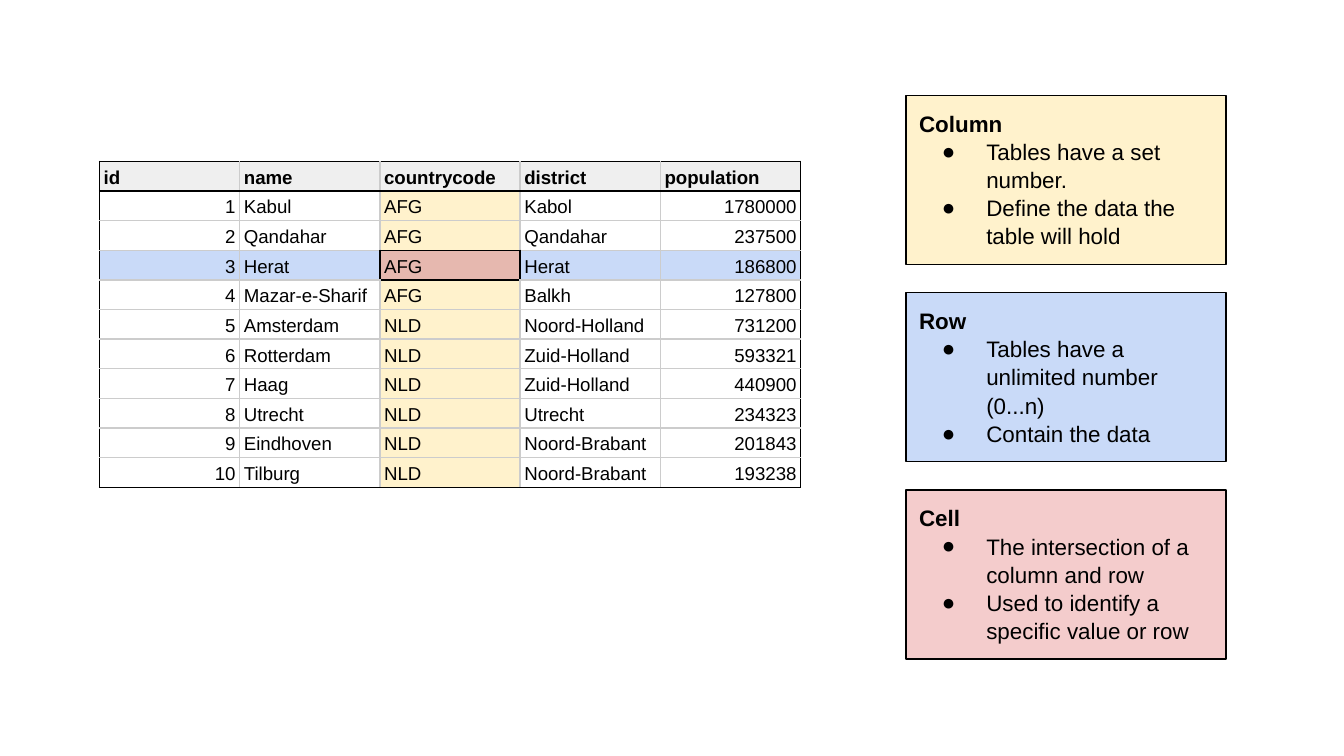
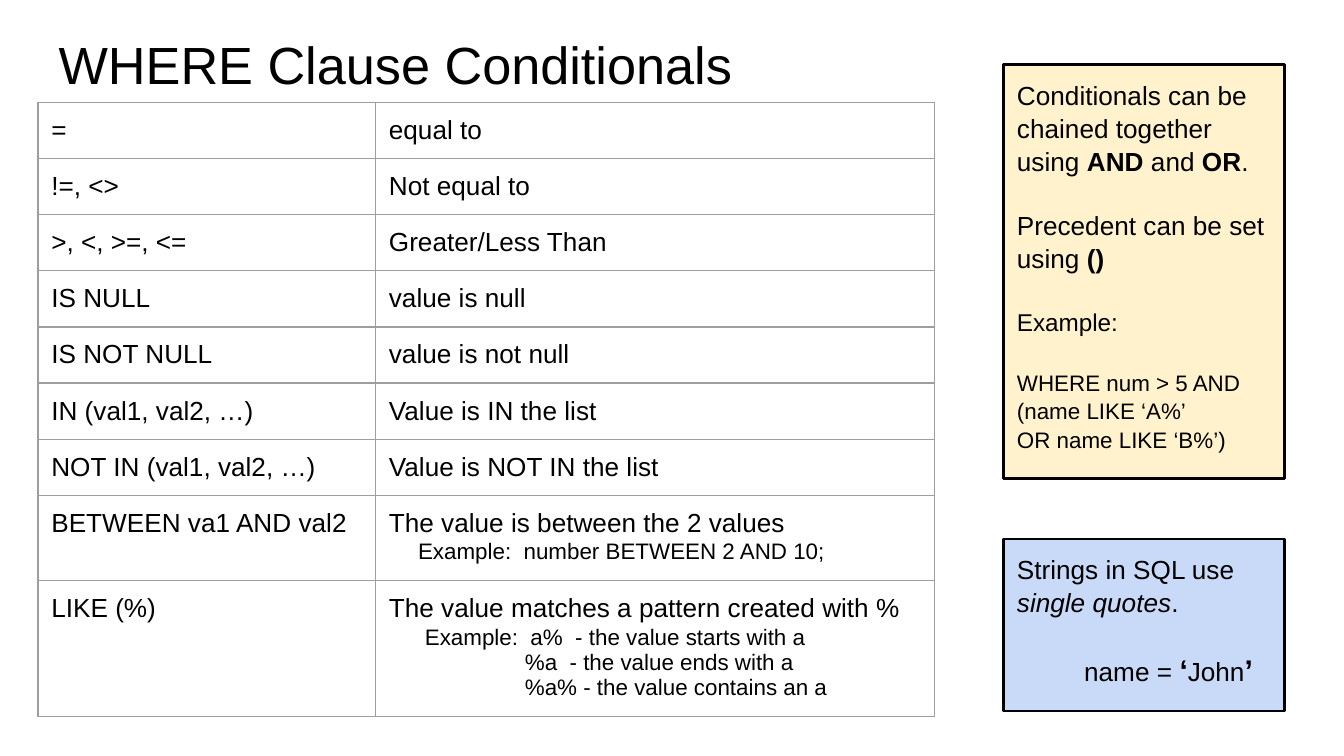
import dataclasses
import pptx
import pptx.dml.color
import pptx.enum.shapes
import pptx.enum.text
import pptx.oxml.ns
import lxml.etree

Cm = pptx.util.Cm
Pt = pptx.util.Pt
Align = pptx.enum.text.PP_ALIGN
Anchor = pptx.enum.text.MSO_ANCHOR
shade = pptx.dml.color.RGBColor.from_string
qn = pptx.oxml.ns.qn


@dataclasses.dataclass(frozen=True)
class Theme:
    face: str = "Arial"
    ink: str = "000000"
    paper: str = "FFFFFF"
    head: str = "EFEFEF"
    cream: str = "FFF2CC"
    blue: str = "C9DAF8"
    pink: str = "F4CCCC"
    rose: str = "E6B8AF"
    pale: str = "CCCCCC"
    grey: str = "9E9E9E"
    title: int = 28
    quote: int = 16
    text: int = 14
    label: int = 13
    small: int = 12
    data: int = 10


theme = Theme()


def write(frame, paras, size, anchor=Anchor.TOP, pad=(0.25, 0.25), lead=1.05):
    # Each paragraph is (runs, layout); each run is (text, font values).
    frame.word_wrap = True
    sides = {"margin_left": pad[0], "margin_right": pad[0],
             "margin_top": pad[1], "margin_bottom": pad[1]}
    for name, value in sides.items():
        setattr(frame, name, Cm(value))
    frame.vertical_anchor = anchor
    for i, (runs, form) in enumerate(paras):
        para = frame.paragraphs[0] if i == 0 else frame.add_paragraph()
        look = {"alignment": form.get("align", Align.LEFT), "line_spacing": lead,
                "space_before": Pt(form.get("gap", 0)), "space_after": Pt(0)}
        for name, value in look.items():
            setattr(para, name, value)
        props = para._p.get_or_add_pPr()
        props.set("marL", str(Cm(form.get("left", 0))))
        props.set("indent", str(Cm(form.get("hang", 0))))
        if "dot" in form:
            lxml.etree.SubElement(props, qn("a:buFont")).set("typeface", theme.face)
            lxml.etree.SubElement(props, qn("a:buChar")).set("char", form["dot"])
        else:
            lxml.etree.SubElement(props, qn("a:buNone"))
        for text, font in runs:
            run = para.add_run()
            run.text = text
            base = {"name": theme.face, "size": size, "bold": False, "italic": False}
            for name, value in (base | font).items():
                setattr(run.font, name, Pt(value) if name == "size" else value)
            run.font.color.rgb = shade(theme.ink)


def dress(cell, fill, edges, width):
    props = cell._tc.get_or_add_tcPr()
    for side, hue in edges.items():
        line = lxml.etree.SubElement(props, qn("a:ln" + side))
        line.set("w", str(Pt(width)))
        solid = lxml.etree.SubElement(line, qn("a:solidFill"))
        lxml.etree.SubElement(solid, qn("a:srgbClr")).set("val", hue)
    cell.fill.solid()
    cell.fill.fore_color.rgb = shade(fill)


deck = pptx.Presentation()
deck.slide_width, deck.slide_height = Cm(25.4), Cm(14.29)
bold = {"bold": True}
plain = {"first_row": False, "horz_banding": False}

slide = deck.slides.add_slide(deck.slide_layouts[4])
towns = [
    ("id", "name", "countrycode", "district", "population"),
    ("1", "Kabul", "AFG", "Kabol", "1780000"),
    ("2", "Qandahar", "AFG", "Qandahar", "237500"),
    ("3", "Herat", "AFG", "Herat", "186800"),
    ("4", "Mazar-e-Sharif", "AFG", "Balkh", "127800"),
    ("5", "Amsterdam", "NLD", "Noord-Holland", "731200"),
    ("6", "Rotterdam", "NLD", "Zuid-Holland", "593321"),
    ("7", "Haag", "NLD", "Zuid-Holland", "440900"),
    ("8", "Utrecht", "NLD", "Utrecht", "234323"),
    ("9", "Eindhoven", "NLD", "Noord-Brabant", "201843"),
    ("10", "Tilburg", "NLD", "Noord-Brabant", "193238"),
]
rows, cols = len(towns), len(towns[0])
pick_r, pick_c = 3, 2
grid = slide.shapes.add_table(rows, cols, Cm(1.88), Cm(3.05),
                              Cm(2.65 * cols), Cm(0.56 * rows)).table
for name, value in plain.items():
    setattr(grid, name, value)
for r, town in enumerate(towns):
    grid.rows[r].height = Cm(0.56)
    for c, text in enumerate(town):
        dark = {
            "L": c == 0 or (r == pick_r and c in (pick_c, pick_c + 1)),
            "R": c == cols - 1 or (r == pick_r and c in (pick_c - 1, pick_c)),
            "T": r in (0, 1) or (c == pick_c and r in (pick_r, pick_r + 1)),
            "B": r in (0, rows - 1) or (c == pick_c and r in (pick_r - 1, pick_r)),
        }
        if r == 0:
            fill = theme.head
        elif r == pick_r:
            fill = theme.rose if c == pick_c else theme.blue
        else:
            fill = theme.cream if c == pick_c else theme.paper
        cell = grid.cell(r, c)
        edges = {side: theme.ink if on else theme.pale for side, on in dark.items()}
        dress(cell, fill, edges, 0.83)
        align = Align.RIGHT if r and c in (0, cols - 1) else Align.LEFT
        write(cell.text_frame, [([(text, {"bold": r == 0})], {"align": align})],
              theme.data, pad=(0.08, 0.05), lead=1.15)
        for name, value in {"vertical_anchor": Anchor.BOTTOM, "margin_left": Cm(0.08),
                            "margin_right": Cm(0.08), "margin_top": Cm(0.05),
                            "margin_bottom": Cm(0.05)}.items():
            setattr(cell, name, value)

terms = [
    ("Column", theme.cream, ["Tables have a set number.",
                             "Define the data the table will hold"]),
    ("Row", theme.blue, ["Tables have a unlimited number (0...n)",
                         "Contain the data"]),
    ("Cell", theme.pink, ["The intersection of a column and row",
                          "Used to identify a specific value or row"]),
]
bullet = {"left": 1.27, "hang": -0.84, "dot": "●"}
holds = {hold.placeholder_format.idx: hold for hold in slide.placeholders}
for i, (term, fill, points) in enumerate(terms):
    box = holds.pop(i + 1)
    place = {"left": 17.12, "top": 1.8 + 3.73 * i, "width": 6.05, "height": 3.2}
    for name, value in place.items():
        setattr(box, name, Cm(value))
    box.fill.solid()
    box.fill.fore_color.rgb = shade(fill)
    box.line.color.rgb = shade(theme.ink)
    box.line.width = Pt(0.75)
    box.text_frame.auto_size = pptx.enum.text.MSO_AUTO_SIZE.NONE
    write(box.text_frame, [([(term, bold)], {})]
          + [([(point, {})], bullet) for point in points], theme.small)
for hold in holds.values():
    hold._element.getparent().remove(hold._element)

slide = deck.slides.add_slide(deck.slide_layouts[5])
title = slide.shapes.title
for name, value in {"left": 0.86, "top": 0.36, "width": 23.67, "height": 1.6}.items():
    setattr(title, name, Cm(value))
title.text_frame.auto_size = pptx.enum.text.MSO_AUTO_SIZE.NONE
write(title.text_frame, [([("WHERE Clause Conditionals", {})], {})],
      theme.title, lead=1.0)

small = {"size": theme.small}
tests = [
    ("=", "equal to", []),
    ("!=, <>", "Not equal to", []),
    (">, <, >=, <=", "Greater/Less Than", []),
    ("IS NULL", "value is null", []),
    ("IS NOT NULL", "value is not null", []),
    ("IN (val1, val2, …)", "Value is IN the list", []),
    ("NOT IN (val1, val2, …)", "Value is NOT IN the list", []),
    ("BETWEEN va1 AND val2", "The value is between the 2 values",
     [("Example:  number BETWEEN 2 AND 10;", 0.55)]),
    ("LIKE (%)", "The value matches a pattern created with %",
     [("Example:  a%  - the value starts with a", 0.68),
      ("%a  - the value ends with a", 2.57),
      ("%a% - the value contains an a", 2.57)]),
]
highs = [1.06] * 7 + [1.61, 2.57]
wides = [6.38, 10.56]
grid = slide.shapes.add_table(len(tests), 2, Cm(0.72), Cm(1.94),
                              Cm(sum(wides)), Cm(sum(highs))).table
for name, value in plain.items():
    setattr(grid, name, value)
for c, wide in enumerate(wides):
    grid.columns[c].width = Cm(wide)
for r, (test, sense, notes) in enumerate(tests):
    grid.rows[r].height = Cm(highs[r])
    more = [([(note, small)], {"left": left, "gap": 0 if i else 1})
            for i, (note, left) in enumerate(notes)]
    for c, paras in enumerate([[([(test, {})], {})], [([(sense, {})], {})] + more]):
        cell = grid.cell(r, c)
        dress(cell, theme.paper, dict.fromkeys("LRTB", theme.grey), 0.75)
        write(cell.text_frame, paras, theme.text, lead=1.0)
        for side in ("left", "right", "top", "bottom"):
            setattr(cell, "margin_" + side, Cm(0.25))

quote = {"size": theme.quote, "bold": True}
blank = {"gap": 17}
cards = [
    (1.22, 7.82, theme.cream, [
        ([("Conditionals can be chained together using ", {}), ("AND ", bold),
          ("and ", {}), ("OR", bold), (".", {})], {}),
        ([("Precedent can be set using ", {}), ("()", bold)], blank),
        ([("Example:", {"size": theme.label})], blank),
        ([("WHERE num > 5 AND (name LIKE ‘A%’", small)], blank),
        ([("OR name LIKE ‘B%’)", small)], {}),
    ]),
    (10.19, 3.25, theme.blue, [
        ([("Strings in SQL use ", {}), ("single quotes", {"italic": True}),
          (".", {})], {}),
        ([("name = ", {}), ("‘", quote), ("John", {}), ("’", quote)],
         {"hang": 1.27} | blank),
    ]),
]
for top, high, fill, paras in cards:
    card = slide.shapes.add_shape(pptx.enum.shapes.MSO_SHAPE.RECTANGLE,
                                  Cm(18.97), Cm(top), Cm(5.31), Cm(high))
    card.shadow.inherit = False
    card.fill.solid()
    card.fill.fore_color.rgb = shade(fill)
    card.line.color.rgb = shade(theme.ink)
    card.line.width = Pt(1.5)
    write(card.text_frame, paras, theme.text)

deck.save("out.pptx")
